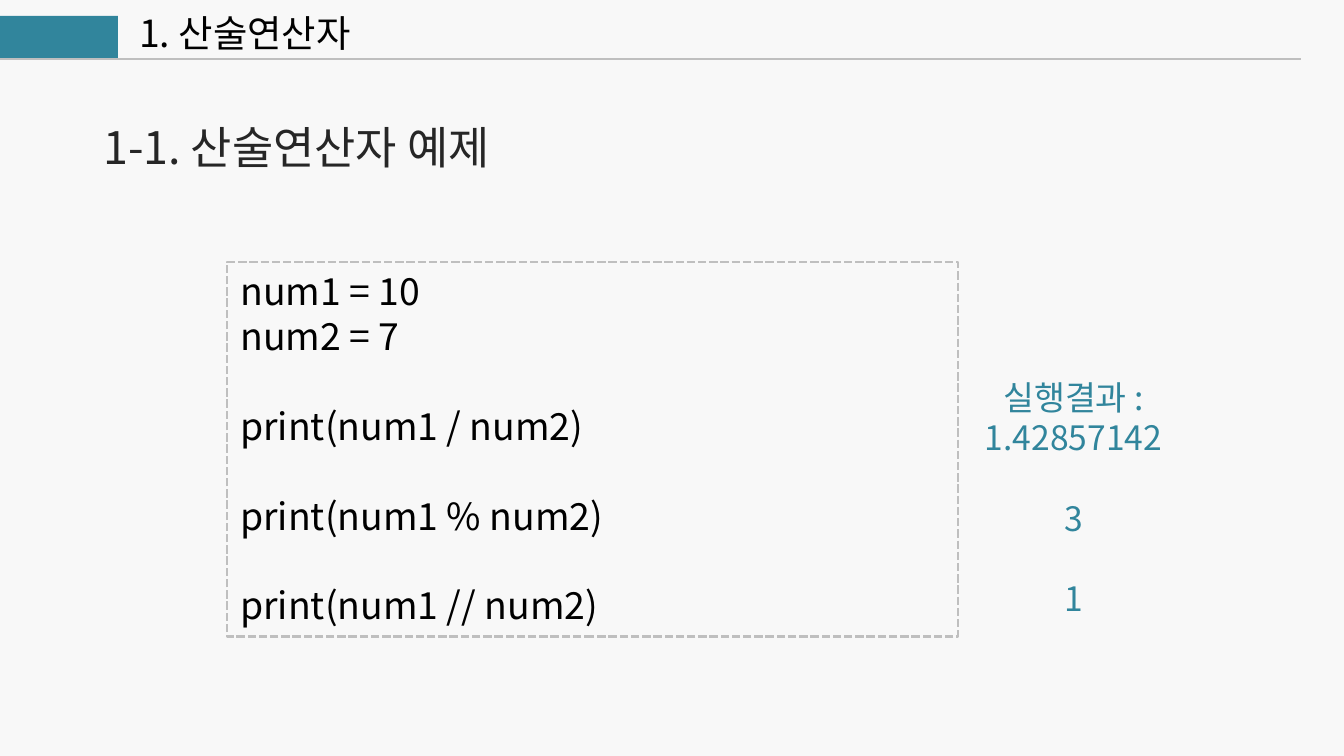
import pptx
import pptx.dml.color
import pptx.enum.dml
import pptx.enum.shapes
import pptx.enum.text
import pptx.oxml
import pptx.oxml.ns
import pptx.util
from dataclasses import dataclass

SLIDE_W, SLIDE_H = 1344, 756
SCALE = pptx.util.Inches(10) / SLIDE_W


@dataclass(frozen=True)
class Theme:
    """Colours, font and type sizes of the slide."""
    background: str = "F8F8F8"
    accent: str = "31859C"
    rule: str = "BFBFBF"
    heading: str = "262626"
    body: str = "000000"
    font: str = "Noto Sans CJK KR"
    heading_size: int = 24
    body_size: int = 20
    result_size: int = 18
    leading: float = 1.2


THEME = Theme()
ALIGN = pptx.enum.text.PP_ALIGN


def px(length):
    """Turn px into EMU."""
    return round(length * SCALE)


def rgb(colour):
    """Turn a hex string into a colour."""
    return pptx.dml.color.RGBColor.from_string(colour)


def write(frame, groups, size, colour, align=ALIGN.LEFT):
    """Fill a frame with groups of lines, set one line apart."""
    leading = pptx.util.Pt(round(size * THEME.leading, 1))
    frame.text = "\n".join("\n".join(group) for group in groups)
    frame.vertical_anchor = pptx.enum.text.MSO_ANCHOR.TOP
    starts = [i == 0 for group in groups for i in range(len(group))]
    for index, paragraph in enumerate(frame.paragraphs):
        paragraph.alignment = align
        paragraph.line_spacing = leading
        if index and starts[index]:
            paragraph.space_before = leading
        for run in paragraph.runs:
            run.font.size = pptx.util.Pt(size)
            run.font.name = THEME.font
            run.font.color.rgb = rgb(colour)
            east_asian = pptx.oxml.ns.qn("a:ea")
            run.font._element.find(pptx.oxml.ns.qn("a:latin")).addnext(
                run.font._element.makeelement(east_asian, {"typeface": THEME.font}))


def add_text(slide, box, groups, size, colour, align=ALIGN.LEFT, wrap=True):
    """Place a text box."""
    frame = slide.shapes.add_textbox(*map(px, box)).text_frame
    frame.word_wrap = wrap
    write(frame, groups, size, colour, align)


def add_rectangle(slide, box):
    """Place a rectangle without shadow."""
    rectangle = slide.shapes.add_shape(
        pptx.enum.shapes.MSO_SHAPE.RECTANGLE, *map(px, box))
    rectangle.shadow.inherit = False
    return rectangle


def header(slide, box, title):
    """Draw the accent tab, the section title and the rule below them."""
    left, top, width, height = box
    tab = add_rectangle(slide, (left, top + 16, 118, height - 17))
    tab.fill.solid()
    tab.fill.fore_color.rgb = rgb(THEME.accent)
    tab.line.fill.background()
    add_text(slide, (left + 126, top + 4, 292, height), [[title]],
             THEME.body_size, THEME.body)
    bottom = px(top + height)
    rule = slide.shapes.add_connector(
        pptx.enum.shapes.MSO_CONNECTOR.STRAIGHT,
        px(left), bottom, px(left + width), bottom)
    rule.line.color.rgb = rgb(THEME.rule)
    rule.line.width = pptx.util.Pt(1)
    properties = rule._element.spPr
    properties.append(properties.makeelement(pptx.oxml.ns.qn("a:effectLst"), {}))


def code_panel(slide, box, groups):
    """Draw the dashed panel with the example code."""
    panel = add_rectangle(slide, box)
    panel.fill.background()
    panel.line.color.rgb = rgb(THEME.rule)
    panel.line.width = pptx.util.Pt(1.5)
    panel.line.dash_style = pptx.enum.dml.MSO_LINE.SQUARE_DOT
    panel.text_frame.word_wrap = True
    write(panel.text_frame, groups, THEME.body_size, THEME.body)


def main():
    """Build the slide and save it."""
    deck = pptx.Presentation()
    deck.slide_width, deck.slide_height = px(SLIDE_W), px(SLIDE_H)
    slide = deck.slides.add_slide(deck.slide_layouts[6])
    slide.background.fill.solid()
    slide.background.fill.fore_color.rgb = rgb(THEME.background)
    header(slide, (0, 0, 1301, 59), "1. 산술연산자")
    add_text(slide, (90, 113, 456, 67), [["1-1. 산술연산자 예제"]],
             THEME.heading_size, THEME.heading)
    code_panel(slide, (227, 262, 731, 375), [
        ["num1 = 10", "num2 = 7"],
        ["print(num1 / num2)"],
        ["print(num1 % num2)"],
        ["print(num1 // num2)"],
    ])
    add_text(slide, (966, 370, 215, 258),
             [["실행결과 :", "1.42857142"], ["3"], ["1"]],
             THEME.result_size, THEME.accent, ALIGN.CENTER, wrap=False)
    deck.save("out.pptx")


if __name__ == "__main__":
    main()
